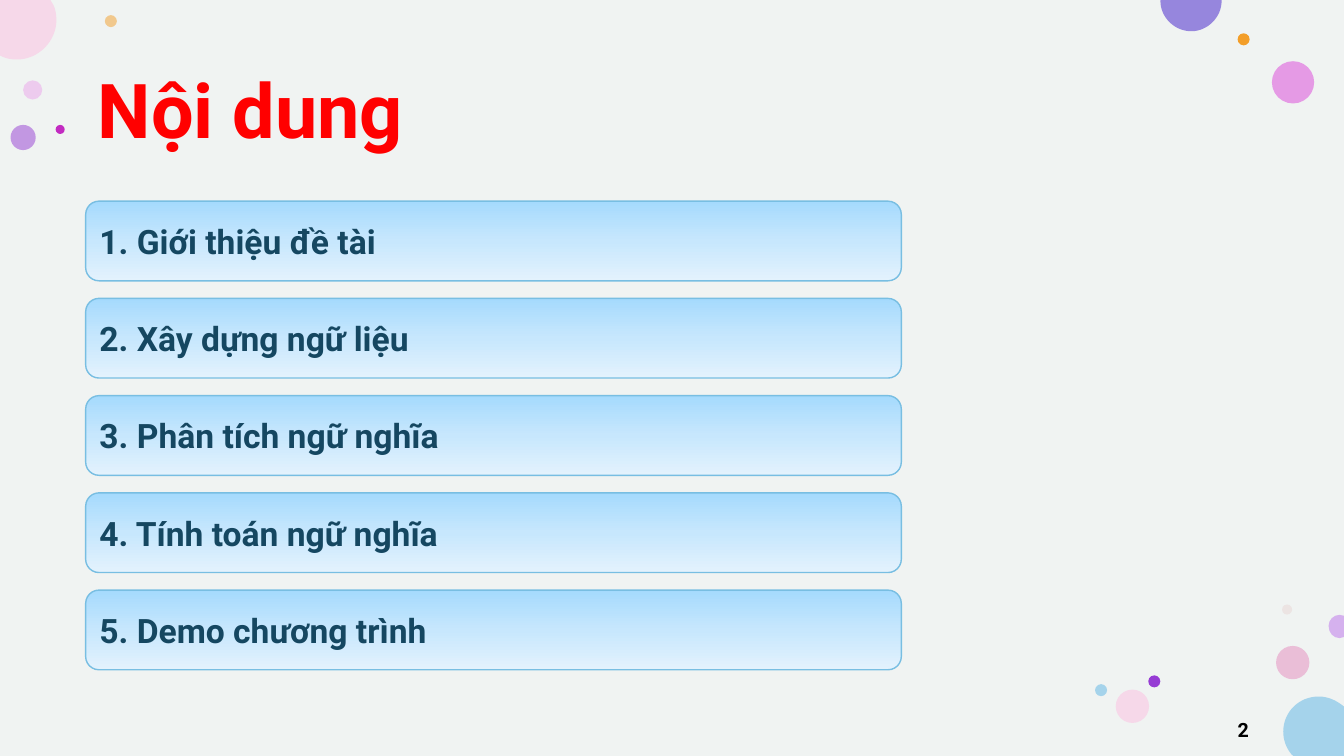
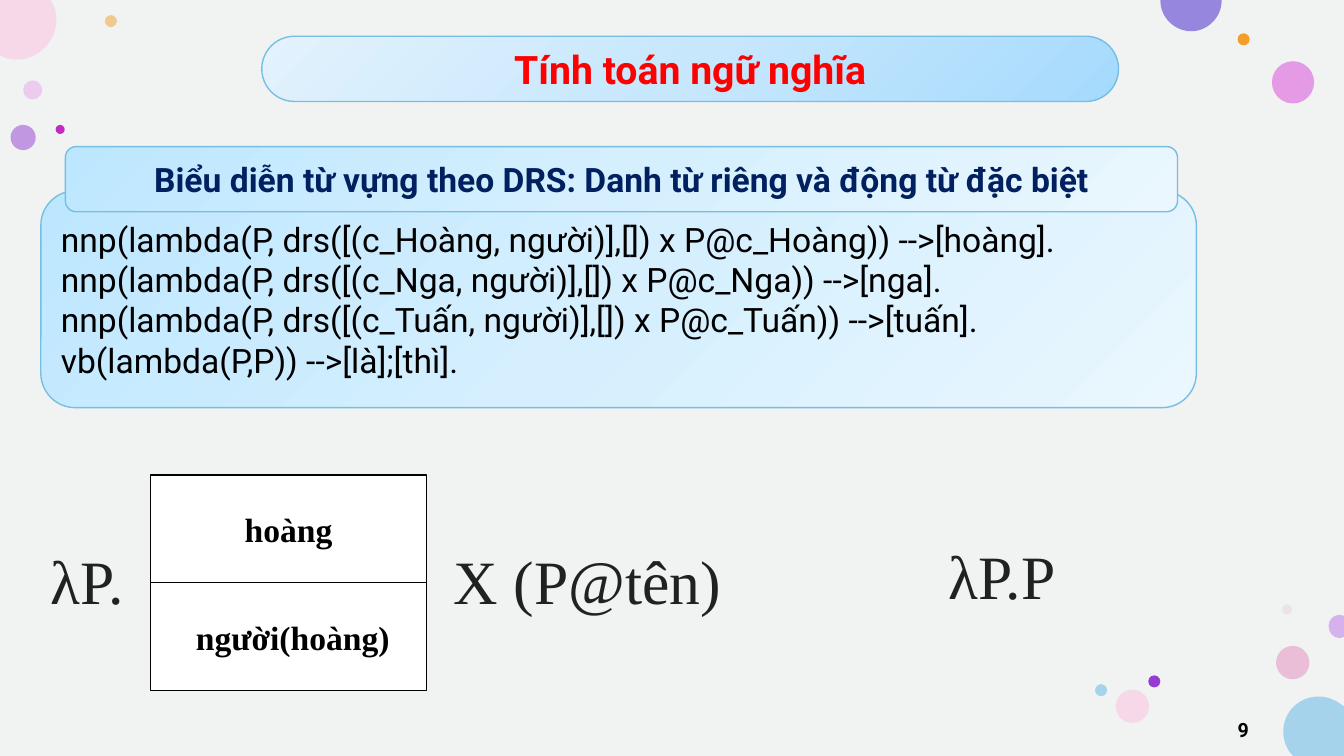
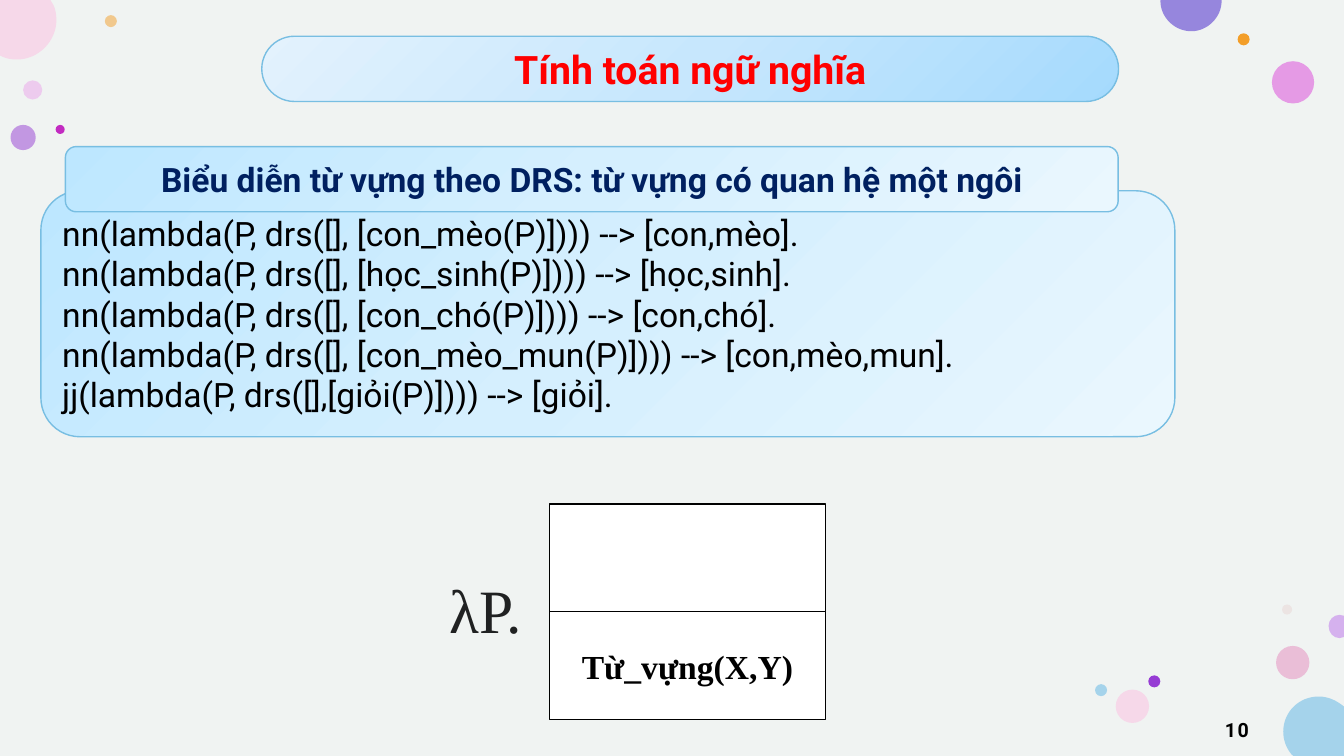
from dataclasses import dataclass

from lxml import etree
from pptx import Presentation
from pptx import util as u
from pptx.dml.color import RGBColor
from pptx.enum import shapes, text
from pptx.oxml import ns

Pt = u.Pt
WIDTH, HEIGHT = 960, 540


@dataclass(frozen=True)
class Theme:
    background: str = "F0F3F2"
    red: str = "FF0000"
    agenda_ink: str = "154761"
    heading_ink: str = "002060"
    formula_ink: str = "202122"
    black: str = "000000"
    white: str = "FFFFFF"
    outline: str = "78BEE2"
    strong_blend: tuple[str, ...] = ("A5DAFD", "C7E7FD", "E3F2FD")
    soft_blend: tuple[str, ...] = ("BDE7FF", "D5EFFE", "EAF7FE")
    sans: str = "Roboto"
    serif: str = "Times New Roman"
    title_size: int = 54
    formula_size: int = 44
    banner_size: int = 28
    body_size: int = 24
    number_size: int = 14


THEME = Theme()
Point = tuple[float, float]


@dataclass(frozen=True)
class Box:
    left: float
    top: float
    width: float
    height: float

    def emu(self) -> tuple[int, ...]:
        return tuple(Pt(v) for v in (self.left, self.top, self.width, self.height))


@dataclass(frozen=True)
class Bubble:
    left: float
    top: float
    size: float
    color: str
    opacity: int = 100


@dataclass(frozen=True)
class EdgeBubble:
    color: str
    start: Point
    segments: tuple[tuple[Point, ...], ...]


@dataclass(frozen=True)
class Formula:
    wording: str
    box: Box


@dataclass(frozen=True)
class Topic:
    number: int
    heading: str
    heading_width: float
    rules: tuple[str, ...]
    panel_width: float
    panel_height: float
    formulas: tuple[Formula, ...]
    drs_left: float
    drs_top: float
    drs_cells: tuple[str, str]


BUBBLES = (
    Bubble(16.5, 57.4, 13.7, "EBA5EB", 50),
    Bubble(74.9, 10.8, 8.6, "F39E29", 50),
    Bubble(911.5, 461.4, 23.8, "E58ABE", 50),
    Bubble(7.5, 89.2, 18, "963CD4", 50),
    Bubble(908.5, 43.7, 30.2, "E278E1", 72),
    Bubble(884, 23.8, 8.6, "F39E29"),
    Bubble(915.8, 431.8, 7.2, "E3BEBE", 28),
    Bubble(820.2, 482.4, 8.6, "963CD4"),
    Bubble(797, 492.6, 23.8, "F6D8E9"),
    Bubble(782.2, 488.7, 8.6, "A5D3EB"),
)

MAGENTA = Bubble(39.7, 89.2, 6.5, "C22AC1")

EDGE_BUBBLES = (
    EdgeBubble("A5D3EB", (941.8, 497.5), (
        ((949, 497.5), (954.7, 500.4), (960, 504.7)),
        ((960, 505.4),), ((960, 540),), ((923.8, 540),), ((922.3, 538.6),),
        ((918.7, 534.2), (916.6, 528.5), (916.6, 522.7)),
        ((916.6, 508.3), (928.1, 497.5), (941.8, 497.5)),
    )),
    EdgeBubble("F6D8E9", (0, 0), (
        ((36, 0),), ((38.2, 3.6),),
        ((39.6, 6.5), (40.3, 10.1), (40.3, 14.4)),
        ((40.3, 29.5), (27.4, 42.5), (12.2, 42.5)),
        ((7.9, 42.5), (4.3, 41.8), (1.4, 40.3)),
        ((0, 39.6),),
    )),
    EdgeBubble("9686DD", (829, 0), (
        ((872.6, 0),), ((872.6, 0.7),),
        ((872.6, 12.2), (862.6, 22.3), (851, 22.3)),
        ((838.8, 22.3), (828.9, 12.2), (828.9, 0.7)),
    )),
    EdgeBubble("D5B1EE", (956.9, 439.2), (
        ((960, 439.9),), ((960, 455),), ((956.9, 455.8),),
        ((952.6, 455.8), (949, 452.2), (949, 447.1)),
        ((949, 442.8), (952.6, 439.2), (956.9, 439.2)),
    )),
)

AGENDA = (
    "1. Giới thiệu đề tài",
    "2. Xây dựng ngữ liệu",
    "3. Phân tích ngữ nghĩa",
    "4. Tính toán ngữ nghĩa",
    "5. Demo chương trình",
)

TOPICS = (
    Topic(
        9,
        "Biểu diễn từ vựng theo DRS: Danh từ riêng và động từ đặc biệt",
        794.4,
        (
            "nnp(lambda(P, drs([(c_Hoàng, người)],[]) x P@c_Hoàng)) -->[hoàng].",
            "nnp(lambda(P, drs([(c_Nga, người)],[]) x P@c_Nga)) -->[nga].",
            "nnp(lambda(P, drs([(c_Tuấn, người)],[]) x P@c_Tuấn)) -->[tuấn].",
            "vb(lambda(P,P)) -->[là];[thì].",
        ),
        825.4,
        154.9,
        (
            Formula("λP.\tX (P@tên)", Box(29.2, 384.1, 596.2, 60.5)),
            Formula("λP.P", Box(670.5, 380.9, 182.2, 60.5)),
        ),
        107.5,
        339.3,
        ("hoàng", " người(hoàng)"),
    ),
    Topic(
        10,
        "Biểu diễn từ vựng theo DRS: từ vựng có quan hệ một ngôi",
        752,
        (
            "nn(lambda(P, drs([], [con_mèo(P)]))) --> [con,mèo].",
            "nn(lambda(P, drs([], [học_sinh(P)]))) --> [học,sinh].",
            "nn(lambda(P, drs([], [con_chó(P)]))) --> [con,chó].",
            "nn(lambda(P, drs([], [con_mèo_mun(P)]))) --> [con,mèo,mun].",
            "jj(lambda(P, drs([],[giỏi(P)]))) --> [giỏi].",
        ),
        810,
        175.7,
        (Formula("λP.", Box(313.9, 404.9, 205.9, 60.5)),),
        392.4,
        360,
        ("", "Từ_vựng(X,Y)"),
    ),
)


def write(shape, *lines: str, size: float = THEME.body_size, color: str = THEME.black,
          font: str = THEME.sans, bold: bool = False, align=text.PP_ALIGN.LEFT,
          anchor=text.MSO_ANCHOR.MIDDLE, insets=(7.2, 3.6, 7.2, 3.6),
          leading: float = 1.0, tracking: float = 0, tab_stop: float = 0) -> None:
    frame = shape.text_frame
    frame.word_wrap = True
    frame.vertical_anchor = anchor
    frame.margin_left, frame.margin_top, frame.margin_right, frame.margin_bottom = map(Pt, insets)
    for index, line in enumerate(lines):
        paragraph = frame.add_paragraph() if index else frame.paragraphs[0]
        paragraph.alignment = align
        paragraph.line_spacing = leading
        if tab_stop:
            stops = etree.SubElement(paragraph._p.get_or_add_pPr(), ns.qn("a:tabLst"))
            etree.SubElement(stops, ns.qn("a:tab"), pos=str(Pt(tab_stop)), algn="l")
        run = paragraph.add_run()
        run.text = line
        run.font.name = font
        run.font.size = Pt(size)
        run.font.bold = bold
        run.font.color.rgb = RGBColor.from_string(color)
        if tracking:
            run._r.get_or_add_rPr().set("spc", str(round(tracking * 100)))


def paint(shape, color: str, opacity: int = 100) -> None:
    shape.shadow.inherit = False
    shape.fill.solid()
    shape.fill.fore_color.rgb = RGBColor.from_string(color)
    shape.line.fill.background()
    if opacity < 100:
        tint = shape._element.spPr.find(".//" + ns.qn("a:srgbClr"))
        etree.SubElement(tint, ns.qn("a:alpha"), val=str(opacity * 1000))


def blend(shape, colors: tuple[str, ...], angle: int | None) -> None:
    shape.fill.gradient()
    gradient = shape._element.spPr.find(ns.qn("a:gradFill"))
    for child in list(gradient):
        gradient.remove(child)
    stops = etree.SubElement(gradient, ns.qn("a:gsLst"))
    for index, color in enumerate(colors):
        position = 100000 * index // (len(colors) - 1)
        stop = etree.SubElement(stops, ns.qn("a:gs"), pos=str(position))
        etree.SubElement(stop, ns.qn("a:srgbClr"), val=color)
    if angle is None:
        corner = etree.SubElement(gradient, ns.qn("a:path"), path="circle")
        etree.SubElement(corner, ns.qn("a:fillToRect"), l="100000", t="100000")
    else:
        etree.SubElement(gradient, ns.qn("a:lin"), ang=str(angle * 60000), scaled="0")


def outline(shape, color: str) -> None:
    shape.line.color.rgb = RGBColor.from_string(color)
    shape.line.width = Pt(1)


def add_panel(slide, box: Box, colors: tuple[str, ...], angle: int | None,
              rounding: float = 0.1667):
    panel = slide.shapes.add_shape(shapes.MSO_SHAPE.ROUNDED_RECTANGLE, *box.emu())
    panel.adjustments[0] = rounding
    panel.shadow.inherit = False
    blend(panel, colors, angle)
    outline(panel, THEME.outline)
    return panel


def add_bubble(slide, bubble: Bubble) -> None:
    box = Box(bubble.left, bubble.top, bubble.size, bubble.size)
    disc = slide.shapes.add_shape(shapes.MSO_SHAPE.OVAL, *box.emu())
    paint(disc, bubble.color, bubble.opacity)


def add_edge_bubble(slide, bubble: EdgeBubble) -> None:
    builder = slide.shapes.build_freeform(*map(Pt, bubble.start))
    builder.add_line_segments(
        [(Pt(x), Pt(y)) for segment in bubble.segments for x, y in segment], close=True)
    disc = builder.convert_to_shape()
    steps = iter(disc._element.spPr.findall(".//" + ns.qn("a:lnTo")))
    for segment in bubble.segments:
        first, *others = [next(steps) for _ in segment]
        if others:
            curve = etree.Element(ns.qn("a:cubicBezTo"))
            first.addprevious(curve)
            for step in (first, *others):
                curve.append(step[0])
                step.getparent().remove(step)
    paint(disc, bubble.color)


def add_backdrop(deck) -> None:
    layout = deck.slide_layouts[6]
    for placeholder in list(layout.placeholders):
        placeholder._element.getparent().remove(placeholder._element)
    slide = deck.slides.add_slide(layout)
    ground = slide.shapes.add_shape(shapes.MSO_SHAPE.RECTANGLE, *Box(0, 0, WIDTH, HEIGHT).emu())
    paint(ground, THEME.background)
    for bubble in BUBBLES:
        add_bubble(slide, bubble)
    for edge_bubble in EDGE_BUBBLES[:3]:
        add_edge_bubble(slide, edge_bubble)
    add_bubble(slide, MAGENTA)
    add_edge_bubble(slide, EDGE_BUBBLES[3])
    for part in list(slide.shapes):
        layout.shapes._spTree.append(part._element)


def add_number(slide, number: int) -> None:
    page = slide.shapes.add_textbox(*Box(684.7, 510.9, 216, 18.7).emu())
    write(page, str(number), size=THEME.number_size, bold=True, tracking=1,
          align=text.PP_ALIGN.RIGHT, insets=(8.64, 8.64, 8.64, 7.2))


def fill_agenda(slide) -> None:
    title_box = Box(61.2, 28.8, 839.5, 104.4)
    title = slide.shapes.add_textbox(*title_box.emu())
    write(title, "Nội dung", size=THEME.title_size, color=THEME.red, bold=True,
          leading=0.9, insets=(8.64, 8.64, 8.64, 7.2))
    for index, entry in enumerate(AGENDA):
        row = add_panel(slide, Box(61.2, 143.7 + 69.45 * index, 582.6, 56.9),
                        THEME.strong_blend, 90)
        write(row, entry, color=THEME.agenda_ink, bold=True)
    add_number(slide, 2)


def add_drs(slide, topic: Topic) -> None:
    cell_height = 77
    for index, wording in enumerate(topic.drs_cells):
        box = Box(topic.drs_left, topic.drs_top + cell_height * index, 197.2, cell_height)
        cell = slide.shapes.add_shape(shapes.MSO_SHAPE.RECTANGLE, *box.emu())
        paint(cell, THEME.white)
        outline(cell, THEME.black)
        if wording:
            write(cell, wording, font=THEME.serif, bold=True, align=text.PP_ALIGN.CENTER)


def add_topic(deck, topic: Topic) -> None:
    slide = deck.slides.add_slide(deck.slide_layouts[6])
    banner = add_panel(slide, Box(187, 25.9, 612, 46.6), THEME.strong_blend, None, 0.5)
    write(banner, "Tính toán ngữ nghĩa", size=THEME.banner_size, color=THEME.red,
          bold=True, align=text.PP_ALIGN.CENTER)
    lexicon = add_panel(slide, Box(29.2, 136.3, topic.panel_width, topic.panel_height),
                        THEME.soft_blend, 45, 0.159)
    write(lexicon, *topic.rules)
    heading = add_panel(slide, Box(46.7, 104.7, topic.heading_width, 46.6),
                        THEME.soft_blend, 45)
    write(heading, topic.heading, color=THEME.heading_ink, bold=True,
          align=text.PP_ALIGN.CENTER)
    for formula in topic.formulas:
        term = slide.shapes.add_textbox(*formula.box.emu())
        write(term, formula.wording, size=THEME.formula_size, color=THEME.formula_ink,
              font=THEME.serif, anchor=text.MSO_ANCHOR.TOP,
              tab_stop=288 if "\t" in formula.wording else 0)
    add_drs(slide, topic)
    add_number(slide, topic.number)


def main() -> None:
    deck = Presentation()
    deck.slide_width, deck.slide_height = Pt(WIDTH), Pt(HEIGHT)
    add_backdrop(deck)
    fill_agenda(deck.slides[0])
    for topic in TOPICS:
        add_topic(deck, topic)
    deck.save("out.pptx")


if __name__ == "__main__":
    main()
